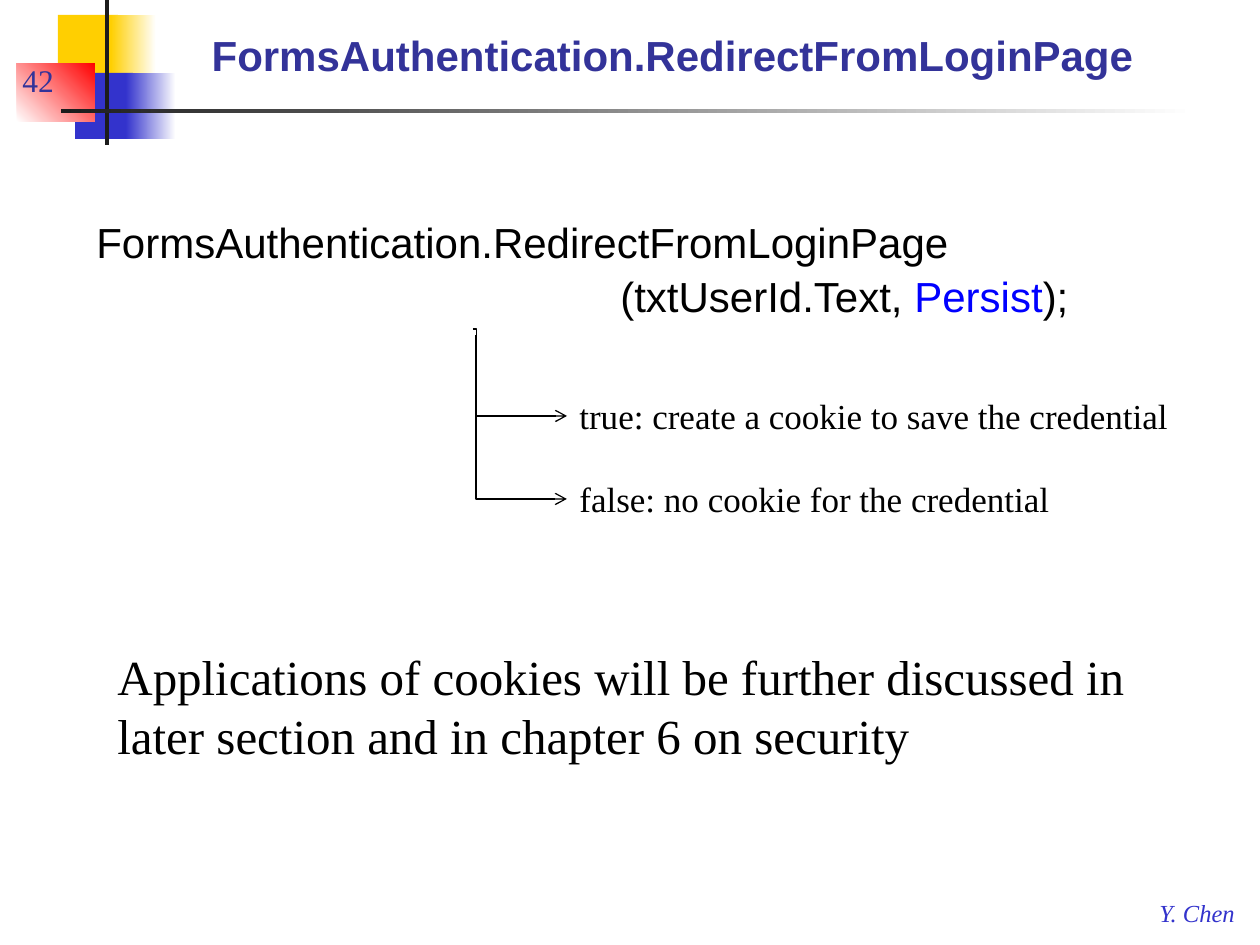
from dataclasses import dataclass

from lxml import etree
from pptx import Presentation
from pptx import util as u
from pptx.dml.color import RGBColor
from pptx.enum import shapes, text
from pptx.oxml import ns

PIXEL = 914400 // 126


@dataclass(frozen=True)
class Theme:
    """Colours, fonts and type sizes of the slide."""
    white: str = "FFFFFF"
    black: str = "000000"
    yellow: str = "FFCF01"
    blue: str = "3333CC"
    red: str = "FF0000"
    rule: str = "1C1C1C"
    heading: str = "333399"
    keyword: str = "0000FF"
    sans: str = "Arial"
    serif: str = "Times New Roman"
    author_size: int = 14
    number_size: int = 18
    label_size: int = 20
    code_size: int = 24
    note_size: int = 28


def px(value):
    """Turn pixels into EMU."""
    return u.Emu(value * PIXEL)


def add_text(paragraph, content, size, font, color, bold=False, italic=False):
    """Append one formatted run to a paragraph."""
    run = paragraph.add_run()
    run.text = content
    run.font.size = u.Pt(size)
    run.font.name = font
    run.font.color.rgb = RGBColor.from_string(color)
    run.font.bold = bold
    run.font.italic = italic


class SlideBuilder:
    """Holds the theme and the current slide, and draws its elements."""

    def __init__(self, slide, theme):
        """Keep the slide and its theme."""
        self.slide = slide
        self.theme = theme

    def block(self, left, top, width, height, color, end=None, angle=0):
        """Draw a plain rectangle, or a gradient one when an end colour is given."""
        shape = self.slide.shapes.add_shape(
            shapes.MSO_SHAPE.RECTANGLE, *map(px, (left, top, width, height)))
        shape.shadow.inherit = False
        shape.line.fill.background()
        if end is None:
            shape.fill.solid()
            shape.fill.fore_color.rgb = RGBColor.from_string(color)
            return
        shape.fill.gradient()
        shape.fill.gradient_angle = angle
        for stop, stop_color, position in zip(shape.fill.gradient_stops, (color, end), (0, 1)):
            stop.color.rgb = RGBColor.from_string(stop_color)
            stop.position = position

    def title(self, left, top, width, height, content):
        """Place and format the title placeholder."""
        shape = self.slide.shapes.title
        shape.left, shape.top, shape.width, shape.height = map(px, (left, top, width, height))
        frame = shape.text_frame
        frame.auto_size = text.MSO_AUTO_SIZE.NONE
        frame.vertical_anchor = text.MSO_ANCHOR.BOTTOM
        paragraph = frame.paragraphs[0]
        paragraph.alignment = text.PP_ALIGN.LEFT
        add_text(paragraph, content, self.theme.code_size, self.theme.sans,
                 self.theme.heading, bold=True)

    def frame(self, left, top, width, height, wrap=True, anchor=text.MSO_ANCHOR.TOP):
        """Add an empty text box and return its text frame."""
        box = self.slide.shapes.add_textbox(*map(px, (left, top, width, height)))
        box.text_frame.word_wrap = wrap
        box.text_frame.vertical_anchor = anchor
        return box.text_frame

    def label(self, left, top, width, height, content, size, color=None, italic=False, **layout):
        """Add a text box with one serif run."""
        frame = self.frame(left, top, width, height, **layout)
        add_text(frame.paragraphs[0], content, size, self.theme.serif,
                 color or self.theme.black, italic=italic)

    def code(self, left, top, width, height, lines):
        """Add code lines, each an indent and a list of text and colour pairs."""
        frame = self.frame(left, top, width, height)
        for index, (indent, parts) in enumerate(lines):
            paragraph = frame.add_paragraph() if index else frame.paragraphs[0]
            paragraph.space_before = u.Pt(2)
            paragraph._p.get_or_add_pPr().set("marL", str(px(indent)))
            for content, color in parts:
                add_text(paragraph, content, self.theme.code_size, self.theme.sans, color)

    def elbow_arrow(self, start, end, bend):
        """Draw an elbow arrow that turns at a share (in 1/100000) of its width."""
        connector = self.slide.shapes.add_connector(
            shapes.MSO_CONNECTOR.ELBOW, *map(px, start + end))
        connector.line.width = u.Pt(0.75)
        connector.line.color.rgb = RGBColor.from_string(self.theme.black)
        properties = connector._element.spPr
        guides = properties.find(ns.qn("a:prstGeom")).find(ns.qn("a:avLst"))
        etree.SubElement(guides, ns.qn("a:gd"), name="adj1", fmla=f"val {bend}")
        etree.SubElement(connector.line._get_or_add_ln(), ns.qn("a:tailEnd"), type="arrow")
        etree.SubElement(properties, ns.qn("a:effectLst"))


def draw_decoration(builder):
    """Draw the coloured blocks, the two rules and the author's name."""
    theme = builder.theme
    builder.block(58, 15, 60, 66, theme.yellow)
    builder.block(111, 15, 45, 66, theme.yellow, end=theme.white)
    builder.block(75, 73, 58, 66, theme.blue)
    builder.block(126, 73, 50, 66, theme.blue, end=theme.white)
    builder.block(17, 63, 78, 59, theme.white, end=theme.red, angle=45)
    builder.block(105, 0, 4, 145, theme.rule)
    builder.block(61, 109, 1134, 4, theme.rule, end=theme.white)
    builder.label(1147, 892, 103, 42, "Y. Chen", theme.author_size, theme.blue,
                  italic=True, wrap=False)


def draw_content(builder):
    """Draw the title, the call, the meaning of its argument and the note."""
    theme = builder.theme
    call = "FormsAuthentication.RedirectFromLoginPage"
    builder.title(199, 0, 1050, 86, call)
    builder.code(84, 210, 1097, 126, [
        (0, [(call, theme.black)]),
        (524, [("(txtUserId.Text, ", theme.black), ("Persist", theme.keyword),
               (");", theme.black)]),
    ])
    builder.label(10, 42, 95, 63, "42", theme.number_size, theme.heading,
                  anchor=text.MSO_ANCHOR.BOTTOM)
    outcomes = [
        (388, 629, "true: create a cookie to save the credential", (473, 329), 3600),
        (471, 498, "false: no cookie for the credential", (476, 335), 0),
    ]
    for top, width, content, start, bend in outcomes:
        builder.label(567, top, width, 55, content, theme.label_size, wrap=False)
        builder.elbow_arrow(start, (567, top + 28), bend)
    builder.label(105, 640, 1090, 131,
                  "Applications of cookies will be further discussed in later section "
                  "and in chapter 6 on security", theme.note_size)


def main():
    """Build and save the presentation."""
    presentation = Presentation()
    presentation.slide_width, presentation.slide_height = px(1260), px(945)
    slide = presentation.slides.add_slide(presentation.slide_layouts.get_by_name("Title Only"))
    builder = SlideBuilder(slide, Theme())
    draw_decoration(builder)
    draw_content(builder)
    presentation.save("out.pptx")


main()
